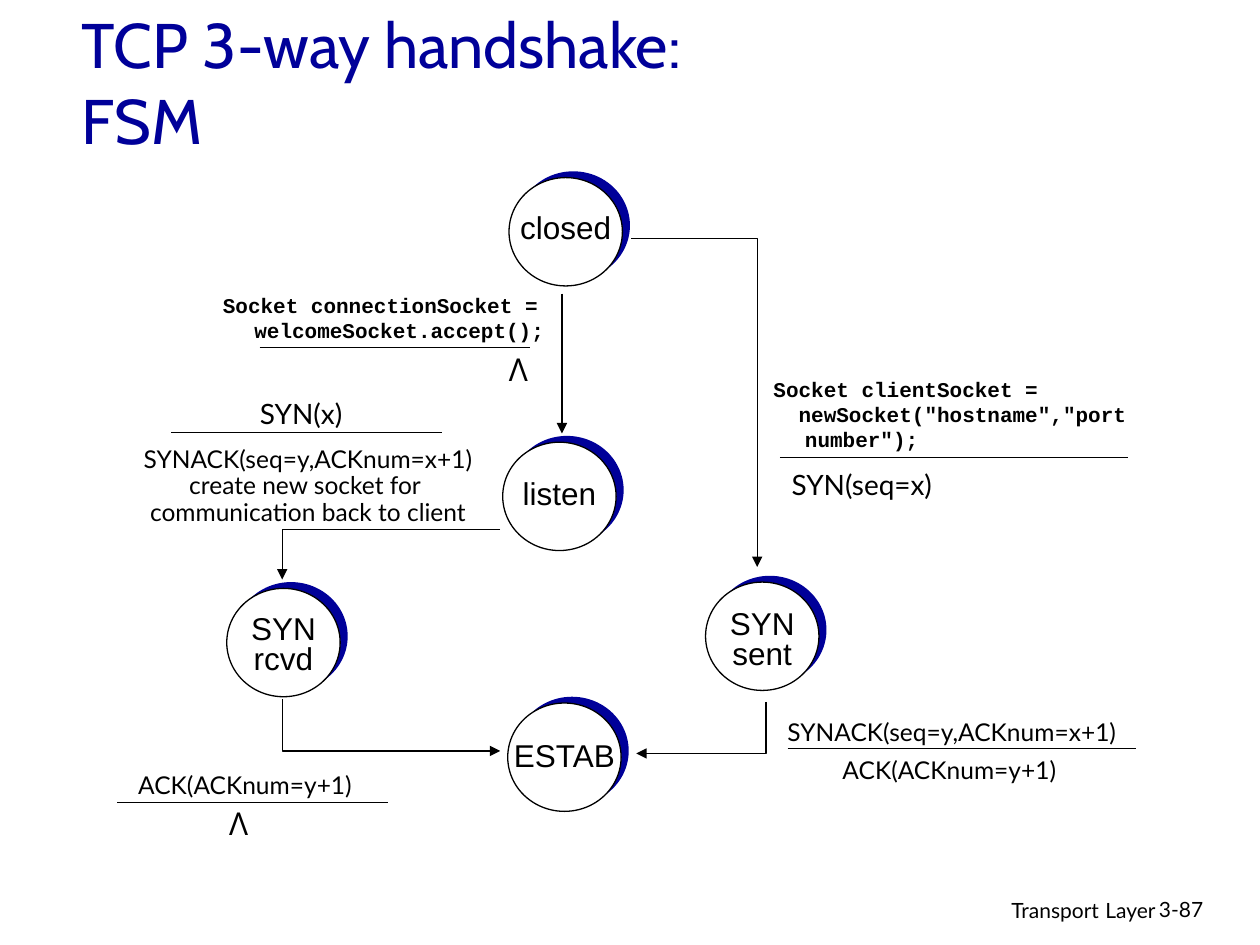
from lxml import etree
from pptx import Presentation
from pptx.dml.color import RGBColor
from pptx.enum.shapes import MSO_CONNECTOR, MSO_SHAPE
from pptx.enum.text import MSO_ANCHOR, PP_ALIGN
from pptx.oxml.ns import qn
from pptx.util import Inches, Pt

LEFT, MID, RIGHT = PP_ALIGN.LEFT, PP_ALIGN.CENTER, PP_ALIGN.RIGHT
TOP, CENTER = MSO_ANCHOR.TOP, MSO_ANCHOR.MIDDLE
OVAL = MSO_SHAPE.OVAL
STRAIGHT = MSO_CONNECTOR.STRAIGHT

COLORS = {"navy": "000099", "ink": "000000", "paper": "FFFFFF"}


def color(name):
    return RGBColor.from_string(COLORS[name])


def add_run(para, text, size, font, tint="ink", bold=False):
    run = para.add_run()
    run.text = text
    run.font.size = Pt(size)
    run.font.name = font
    run.font.bold = bold
    run.font.color.rgb = color(tint)


def add_text(slide, box, lines, size, font, align=MID, gap=1, tint="ink",
             bold=False, wrap=False, anchor=TOP):
    frame = slide.shapes.add_textbox(*map(Inches, box)).text_frame
    frame.word_wrap = wrap
    frame.vertical_anchor = anchor
    for i, line in enumerate(lines):
        para = frame.add_paragraph() if i else frame.paragraphs[0]
        para.alignment = align
        para.line_spacing = gap
        add_run(para, line, size, font, tint, bold)
    return frame


def add_code(slide, box, lines, starts):
    frame = add_text(slide, box, lines, 12, "Courier New", LEFT,
                     bold=True, wrap=True)
    for para, start in zip(frame.paragraphs, starts):
        props = para._p.get_or_add_pPr()
        props.set("marL", str(Inches(0.25)))
        props.set("indent", str(Inches(start - 0.25)))


def style_line(shape, arrow):
    shape.line.color.rgb = color("ink")
    shape.line.width = Pt(0.75)
    if arrow:
        tail = etree.SubElement(shape.line._get_or_add_ln(), qn("a:tailEnd"))
        tail.set("type", "triangle")


def add_line(slide, x1, y1, x2, y2, arrow=False):
    line = slide.shapes.add_connector(STRAIGHT, *map(Inches, (x1, y1, x2, y2)))
    style_line(line, arrow)
    etree.SubElement(line._element.spPr, qn("a:effectLst"))


def add_elbow(slide, points):
    start, *rest = [(Inches(x), Inches(y)) for x, y in points]
    path = slide.shapes.build_freeform(*start)
    path.add_line_segments(rest, close=False)
    elbow = path.convert_to_shape()
    elbow.shadow.inherit = False
    elbow.fill.background()
    style_line(elbow, True)


def add_state(slide, x, y, lines, high, shift, gap):
    wide, tall = 0.9, 0.86
    group = slide.shapes.add_group_shape()
    for dx, dy, fill in ((0.06, -0.05, "navy"), (0, 0, "paper")):
        disc = group.shapes.add_shape(
            OVAL, *map(Inches, (x + dx, y + dy, wide, tall)))
        disc.shadow.inherit = False
        disc.fill.solid()
        disc.fill.fore_color.rgb = color(fill)
        if fill == "paper":
            style_line(disc, False)
        else:
            disc.line.fill.background()
    top = y + (tall - high) / 2 + shift
    add_text(slide, (x - 0.1, top, wide + 0.2, high), lines, 18, "Arial",
             gap=gap)


def add_states(slide):
    for state in (
        (4.04, 1.41, ["closed"], 0.4, -0.04, 1),
        (3.99, 3.51, ["listen"], 0.4, -0.03, 1),
        (1.8, 4.67, ["SYN", "rcvd"], 0.58, 0.03, 0.8),
        (5.6, 4.62, ["SYN", "sent"], 0.58, 0.04, 0.8),
        (4.03, 5.58, ["ESTAB"], 0.34, 0.01, 0.8),
    ):
        add_state(slide, *state)


def add_moves(slide):
    add_line(slide, 4.46, 2.33, 4.46, 3.44, True)
    for points in (
        ((5.01, 1.89), (6.01, 1.89), (6.01, 4.5)),
        ((3.97, 4.2), (2.24, 4.2), (2.24, 4.6)),
        ((2.24, 5.55), (2.24, 5.96), (3.97, 5.96)),
        ((6.08, 5.57), (6.08, 5.98), (5.05, 5.98)),
    ):
        add_elbow(slide, points)


def add_labels(slide):
    add_code(slide, (1.67, 2.27, 2.82, 0.5),
             ["Socket connectionSocket = welcomeSocket.accept();"], (0,))
    add_code(slide, (6.04, 2.94, 3.16, 0.7),
             ["Socket clientSocket =", 'newSocket("hostname","port number");'],
             (0, 0.2))
    for x, y in ((3.93, 2.73), (1.71, 6.33)):
        add_text(slide, (x, y, 0.37, 0.4), ["Λ"], 18, "Open Sans")
    add_text(slide, (6.15, 3.66, 1.38, 0.37), ["SYN(seq=x)"], 16, "Lato")
    add_text(slide, (1.95, 3.1, 0.88, 0.37), ["SYN(x)"], 16, "Lato")
    reply, ack = "SYNACK(seq=y,ACKnum=x+1)", "ACK(ACKnum=y+1)"
    for box, lines in (
        ((1.02, 3.5, 2.85, 0.72),
         [reply, "create new socket for ", "communication back to client"]),
        ((6.13, 5.67, 2.85, 0.31), [reply]),
        ((6.58, 5.97, 1.91, 0.31), [ack]),
        ((0.99, 6.09, 1.91, 0.31), [ack]),
    ):
        add_text(slide, box, lines, 14, "Lato", gap=0.9)
    for x1, x2, y in ((2.06, 4.21, 2.76), (1.36, 3.51, 3.43),
                      (6.19, 8.95, 3.63), (6.25, 9.02, 5.94),
                      (0.93, 3.08, 6.37)):
        add_line(slide, x1, y, x2, y)


def add_title(slide, box):
    add_text(slide, box, ["TCP 3-way handshake: FSM"], 36, "Cabin", LEFT,
             tint="navy", wrap=True, anchor=CENTER)


def add_foot(slide, box, page):
    x, y, wide, tall = box
    frame = add_text(slide, (x, y, wide - 0.57, tall), ["Transport"], 12,
                     "Lato", RIGHT, wrap=True)
    add_run(frame.paragraphs[0], " ", 14, "Lato")
    add_run(frame.paragraphs[0], "Layer", 12, "Lato")
    add_text(slide, (x + wide - 0.74, y + 0.02, 0.74, tall), [page], 12,
             "Lato", LEFT, wrap=True)


def main():
    deck = Presentation()
    deck.slide_width, deck.slide_height = Inches(10), Inches(7.5)
    slide = deck.slides.add_slide(deck.slide_layouts[6])
    add_foot(slide, (6.1, 7.05, 3.74, 0.3), "3-87")
    add_title(slide, (0.55, 0.18, 5.86, 0.93))
    add_states(slide)
    add_moves(slide)
    add_labels(slide)
    deck.save("out.pptx")


if __name__ == "__main__":
    main()
